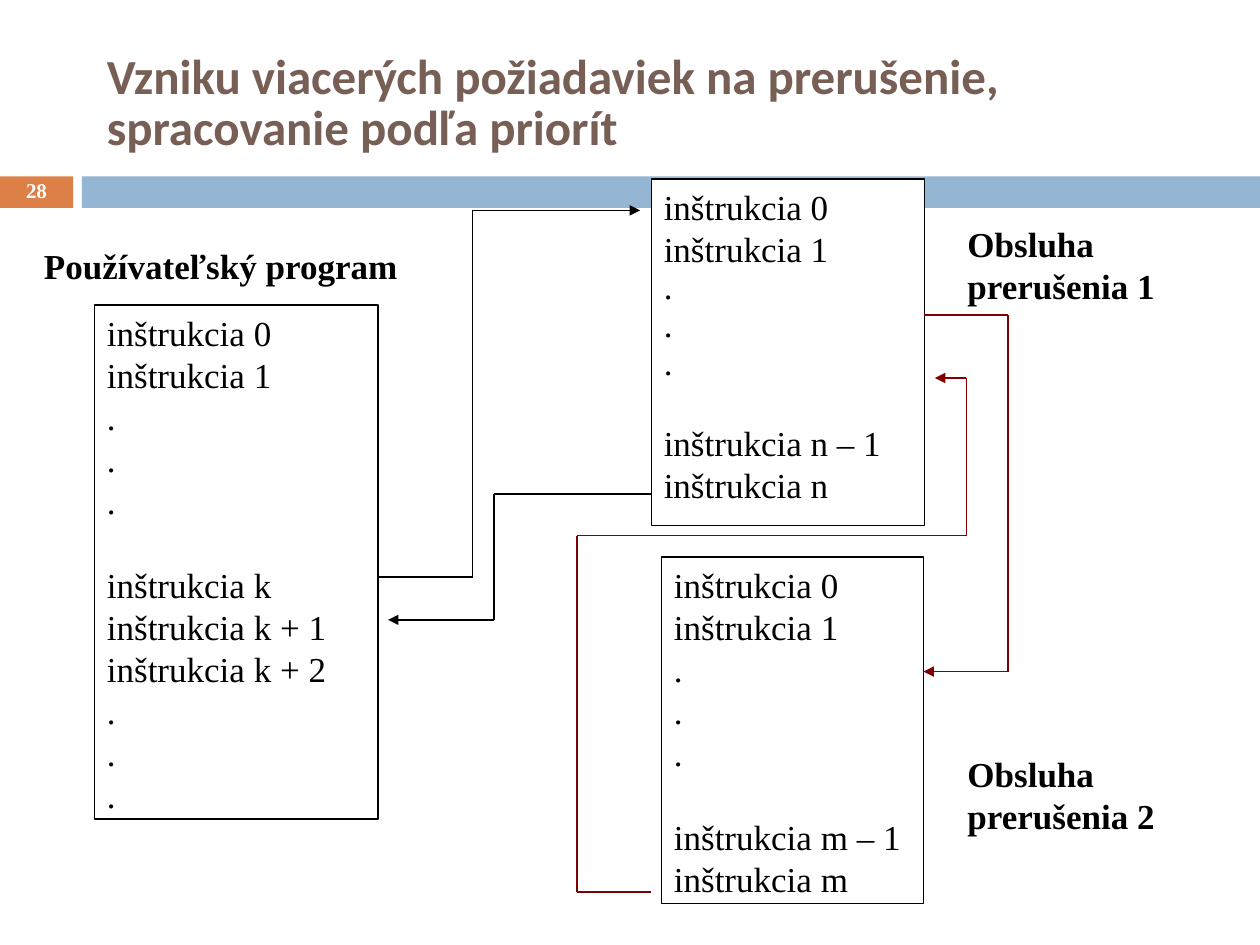
from dataclasses import dataclass
from itertools import pairwise

from lxml.etree import SubElement
from pptx import Presentation
from pptx.dml.color import RGBColor
from pptx.enum.shapes import MSO_CONNECTOR as Connector, MSO_SHAPE as Shape
from pptx.enum.text import MSO_ANCHOR as Anchor, PP_ALIGN as Align
from pptx.oxml.ns import qn
from pptx.util import Inches, Pt


@dataclass(frozen=True)
class Theme:
    heading_font: str = "Calibri"
    body_font: str = "Times New Roman"
    white: str = "FFFFFF"
    black: str = "000000"
    brown: str = "775F55"
    orange: str = "DD8047"
    blue: str = "94B6D2"
    maroon: str = "800000"
    title_size: int = 28
    body_size: int = 20
    number_size: int = 12
    line_width: float = 0.75


class SlideBuilder:
    def __init__(self, page, theme):
        self.page = page
        self.theme = theme

    def bar(self, place, fill, line=None):
        box = self.page.shapes.add_shape(Shape.RECTANGLE, *map(Inches, place))
        box.shadow.inherit = False
        box.fill.solid()
        box.fill.fore_color.rgb = RGBColor.from_string(fill)
        if line:
            box.line.color.rgb = RGBColor.from_string(line)
            box.line.width = Pt(self.theme.line_width)
        else:
            box.line.fill.background()
        return box

    def set_text(self, box, lines, color, anchor=Anchor.TOP, align=Align.LEFT, **font):
        """Fill a box; each line is a text and its paragraph format."""
        frame = box.text_frame
        frame.word_wrap = True
        frame.vertical_anchor = anchor
        font_format = {"name": self.theme.body_font, "size": Pt(self.theme.body_size)} | font
        for index, (text, para_format) in enumerate(lines):
            para = frame.paragraphs[0] if index == 0 else frame.add_paragraph()
            for name, value in ({"alignment": align} | para_format).items():
                setattr(para, name, value)
            span = para.add_run()
            span.text = text
            for name, value in font_format.items():
                setattr(span.font, name, value)
            span.font.color.rgb = RGBColor.from_string(color)

    def label(self, place, text, color, para_format=None, **style):
        box = self.page.shapes.add_textbox(*map(Inches, place))
        self.set_text(box, [(text, para_format or {})], color, bold=True, **style)

    def program(self, place, groups, gap=24, dot_spacing=1.0):
        """Draw a framed listing with a gap before each later group."""
        lines = []
        for number, group in enumerate(groups):
            for index, text in enumerate(group):
                para_format = {"line_spacing": dot_spacing if text == "." else 1.0}
                if number and index == 0:
                    para_format["space_before"] = Pt(gap)
                lines.append((text, para_format))
        box = self.bar(place, self.theme.white, self.theme.black)
        self.set_text(box, lines, self.theme.black)

    def route(self, points, color):
        """Join the points with straight lines, an arrowhead on the last."""
        for start, end in pairwise(points):
            line = self.page.shapes.add_connector(
                Connector.STRAIGHT, *map(Inches, start + end))
            line.line.color.rgb = RGBColor.from_string(color)
            line.line.width = Pt(self.theme.line_width)
            properties = line.element.spPr
            if end == points[-1]:
                SubElement(properties.find(qn("a:ln")), qn("a:tailEnd"), type="triangle")
            SubElement(properties, qn("a:effectLst"))


def main():
    theme = Theme()
    deck = Presentation()
    deck.slide_width, deck.slide_height = Inches(10), Inches(7.5)
    builder = SlideBuilder(deck.slides.add_slide(deck.slide_layouts[6]), theme)

    # Header band, title and page number
    builder.bar((0, 1.4, 0.58, 0.25), theme.orange)
    builder.bar((0.65, 1.4, 9.35, 0.25), theme.blue)
    builder.label((0.75, 0.29, 8.5, 1.08),
                  "Vzniku viacerých požiadaviek na prerušenie, spracovanie podľa priorít",
                  theme.brown, {"line_spacing": 0.87}, anchor=Anchor.MIDDLE,
                  name=theme.heading_font, size=Pt(theme.title_size))
    builder.label((0, 1.39, 0.58, 0.27), "28", theme.white, {"line_spacing": 0.8},
                  anchor=Anchor.MIDDLE, align=Align.CENTER, size=Pt(theme.number_size))

    # User program and the two interrupt handlers
    dots = ["."] * 3
    opening = ["inštrukcia 0", "inštrukcia 1"] + dots
    builder.program((0.75, 2.42, 2.25, 4.08), [
        opening, ["inštrukcia k", "inštrukcia k + 1", "inštrukcia k + 2"] + dots])
    builder.program((5.17, 1.42, 2.17, 2.75), [
        opening, ["inštrukcia n – 1", "inštrukcia n"]], gap=22, dot_spacing=0.9)
    builder.program((5.25, 4.42, 2.08, 2.75), [
        opening, ["inštrukcia m – 1", "inštrukcia m"]])

    # Jumps to the first handler and back
    builder.route([(3, 4.58), (3.75, 4.58), (3.75, 1.67), (5.08, 1.67)], theme.black)
    builder.route([(5.17, 3.92), (3.92, 3.92), (3.92, 4.92), (3.08, 4.92)], theme.black)

    # Jumps to the second handler and back
    builder.route([(7.33, 2.5), (8, 2.5), (8, 5.33), (7.33, 5.33)], theme.maroon)
    builder.route([(5.17, 7.08), (4.58, 7.08), (4.58, 4.25), (7.67, 4.25),
                   (7.67, 3), (7.42, 3)], theme.maroon)

    # Captions
    builder.label((0.25, 1.89, 3.08, 0.5), "Používateľský program", theme.black)
    for number, top in enumerate((1.72, 5.92), start=1):
        builder.label((7.58, top, 2.25, 0.77), f"Obsluha prerušenia {number}", theme.black)

    deck.save("out.pptx")


if __name__ == "__main__":
    main()
